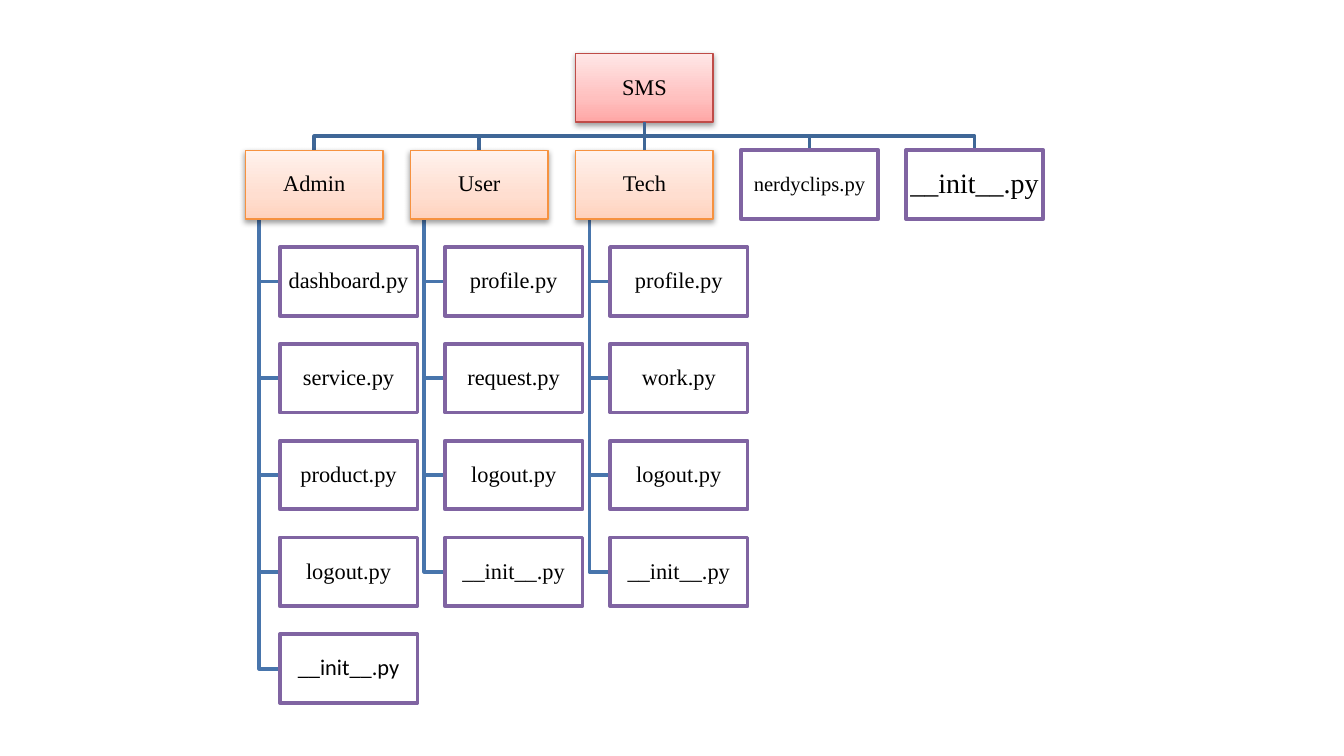
import copy

from pptx import Presentation
from pptx import util as u
from pptx.dml.color import RGBColor
from pptx.enum import shapes, text
from pptx.oxml import parse_xml
from pptx.oxml.ns import qn

# Grid, in centimetres
BOX_W, BOX_H = 2.6, 1.3
COLUMN, ROW = 3.12, 1.83
TRUNK, INDENT = 0.26, 0.65

BUS, BRANCH = "3F6797", "4875AC"
ROOT = {"line": "BF4C48", "stops": ((0, "FFA6A5"), (0.35, "FFC0BF"), (1, "FFE7E7"))}
FOLDER = {"line": "F69240", "stops": ((0, "FFD2BD"), (0.35, "FFDED0"), (1, "FFF2ED"))}

# Name, files inside (None for a plain file), text size
PACKAGES = [
    ("Admin", ["dashboard.py", "service.py", "product.py", "logout.py", "__init__.py"], 12),
    ("User", ["profile.py", "request.py", "logout.py", "__init__.py"], 12),
    ("Tech", ["profile.py", "work.py", "logout.py", "__init__.py"], 12),
    ("nerdyclips.py", None, 11),
    ("__init__.py", None, 15),
]

SHADOW = (
    '<a:outerShdw xmlns:a="http://schemas.openxmlformats.org/drawingml/2006/main" '
    'blurRad="40000" dist="20000" dir="5400000" rotWithShape="0">'
    '<a:srgbClr val="000000"><a:alpha val="38000"/></a:srgbClr></a:outerShdw>'
)


def color(value):
    return RGBColor.from_string(value)


def style_line(line, value, width):
    line.color.rgb = color(value)
    line.width = u.Pt(width)


def fill_gradient(box, stops):
    box.fill.gradient()
    box.fill.gradient_angle = 90
    stop_list = box.element.spPr.find(".//" + qn("a:gsLst"))
    stop_list.append(copy.deepcopy(stop_list[-1]))
    for stop, (position, value) in zip(box.fill.gradient_stops, stops):
        stop.position = position
        stop.color.rgb = color(value)


def add_box(slide, left, top, label, style=None, size=12, font="Times New Roman"):
    box = slide.shapes.add_shape(shapes.MSO_SHAPE.RECTANGLE, u.Cm(left), u.Cm(top),
                                 u.Cm(BOX_W), u.Cm(BOX_H))
    box.shadow.inherit = False
    if style:
        fill_gradient(box, style["stops"])
        style_line(box.line, style["line"], 0.75)
        box.element.spPr.find(qn("a:effectLst")).append(parse_xml(SHADOW))
    else:
        box.fill.solid()
        box.fill.fore_color.rgb = color("FFFFFF")
        style_line(box.line, "8064A2", 2)

    frame = box.text_frame
    frame.text = label
    frame.word_wrap = True
    frame.vertical_anchor = text.MSO_ANCHOR.MIDDLE
    frame.margin_left = frame.margin_right = u.Cm(0.02)
    frame.margin_top = frame.margin_bottom = u.Cm(0.02)
    para = frame.paragraphs[0]
    para.alignment = text.PP_ALIGN.CENTER
    para.line_spacing = 0.9
    span = para.runs[0]
    span.font.name = font
    span.font.size = u.Pt(size)
    span.font.color.rgb = color("000000")
    return box


def add_elbow(slide, points, value):
    start, *rest = [(u.Cm(x), u.Cm(y)) for x, y in points]
    builder = slide.shapes.build_freeform(*start)
    builder.add_line_segments(rest, close=False)
    elbow = builder.convert_to_shape()
    elbow.fill.background()
    elbow.shadow.inherit = False
    style_line(elbow.line, value, 2)


def add_straight(slide, upper, lower, value):
    link = slide.shapes.add_connector(shapes.MSO_CONNECTOR.STRAIGHT, 0, 0, 0, 0)
    link.begin_connect(upper, 2)
    link.end_connect(lower, 0)
    style_line(link.line, value, 2)
    link.element.spPr.append(link.element.spPr.makeelement(qn("a:effectLst"), {}))


def add_package(slide, left, top, name, files, size):
    """One column: a folder with its files, or a single file."""
    leaf_left = left + INDENT
    leaf_tops = [top + ROW * (i + 1) for i in range(len(files or []))]

    # Branches
    trunk = left + TRUNK
    for leaf_top in leaf_tops:
        middle = leaf_top + BOX_H / 2
        add_elbow(slide, [(trunk, top + BOX_H), (trunk, middle), (leaf_left, middle)], BRANCH)

    # Boxes
    head = add_box(slide, left, top, name, FOLDER if files else None, size)
    for leaf_top, file in zip(leaf_tops, files or []):
        last_admin = name == "Admin" and file == "__init__.py"
        add_box(slide, leaf_left, leaf_top, file,
                font="Calibri" if last_admin else "Times New Roman")
    return head


def add_tree(slide, left, top):
    """Root on top, packages in columns below it."""
    center = len(PACKAGES) // 2
    root_left, child_top = left + center * COLUMN, top + ROW
    root_x, root_bottom = root_left + BOX_W / 2, top + BOX_H
    bus_y = (root_bottom + child_top) / 2

    # Bus from the root to the outer columns
    for i in range(len(PACKAGES)):
        if i != center:
            x = left + i * COLUMN + BOX_W / 2
            add_elbow(slide, [(root_x, root_bottom), (root_x, bus_y),
                              (x, bus_y), (x, child_top)], BUS)

    # Root and columns
    root = add_box(slide, root_left, top, "SMS", ROOT)
    heads = [add_package(slide, left + i * COLUMN, child_top, *package)
             for i, package in enumerate(PACKAGES)]
    add_straight(slide, root, heads[center], BUS)


def main():
    deck = Presentation()
    deck.slide_width, deck.slide_height = u.Cm(25.4), u.Cm(14.29)
    slide = deck.slides.add_slide(deck.slide_layouts[6])
    add_tree(slide, 4.64, 1.01)
    deck.save("out.pptx")


if __name__ == "__main__":
    main()
